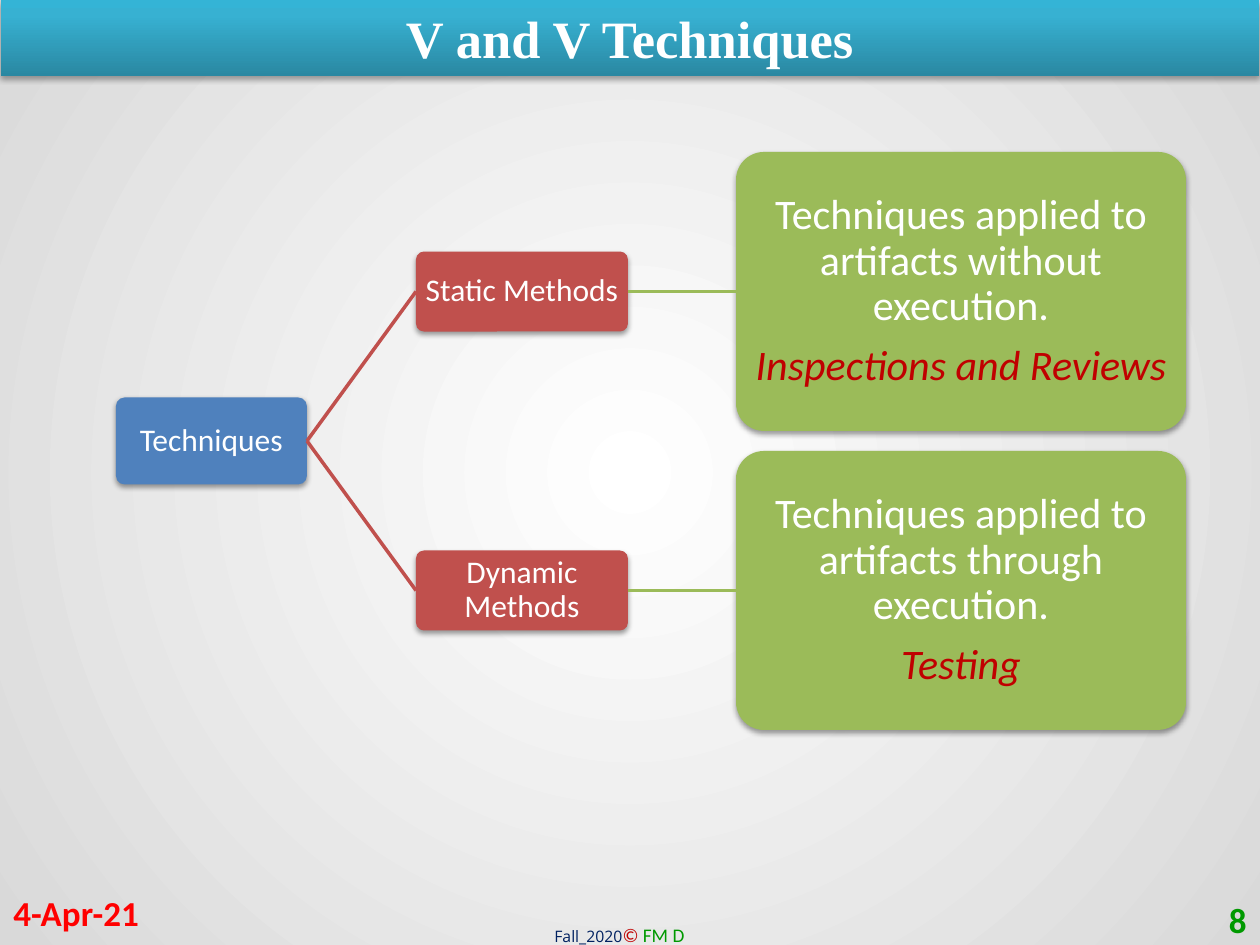
from lxml import etree
from pptx import Presentation
from pptx import util as u
from pptx.dml.color import RGBColor
from pptx.enum import shapes, text
from pptx.oxml import parse_xml
from pptx.oxml.ns import nsdecls, qn

PX = 914400 / 126
WHITE = RGBColor(0xFF, 0xFF, 0xFF)
BLUE = RGBColor(0x4F, 0x81, 0xBD)
RED = RGBColor(0xC0, 0x50, 0x4D)
GREEN = RGBColor(0x9B, 0xBB, 0x59)
DARK_RED = RGBColor(0xC0, 0x00, 0x00)
BRIGHT_RED = RGBColor(0xFF, 0x00, 0x00)
NAVY = RGBColor(0x00, 0x20, 0x60)
FOOTER_GREEN = RGBColor(0x00, 0x99, 0x00)
GREY = RGBColor(0xD9, 0xD9, 0xD9)
TITLE_STOPS = [(0, RGBColor(0x2A, 0x88, 0xA2)), (80, RGBColor(0x37, 0xB1, 0xD2)),
               (100, RGBColor(0x34, 0xB4, 0xD6))]

# Content: each branch is a method, its description and its examples
TITLE = "V and V Techniques"
ROOT = "Techniques"
BRANCHES = [
    ("Static Methods", "Techniques applied to artifacts without execution.",
     "Inspections and Reviews"),
    ("Dynamic Methods", "Techniques applied to artifacts through execution.",
     "Testing"),
]
DATE, NUMBER = "4-Apr-21", "8"
FOOTER = [("Fall_2020", 9, "Open Sans", NAVY, False),
          ("© ", 11, "Calibri", DARK_RED, True),
          ("FM D", 11, "Calibri", FOOTER_GREEN, False)]

# Layout in px: left, width and height of each tree level
ROOT_SIZE = (116, 191, 87)
METHOD_SIZE = (416, 212, 80)
DETAIL_SIZE = (736, 450, 279)
TREE_MIDDLE, BRANCH_PITCH = 441, 299


def px(value):
    return u.Emu(round(value * PX))


def gradient(stops, direction):
    marks = "".join(f'<a:gs pos="{pos * 1000}"><a:srgbClr val="{color}"/></a:gs>'
                    for pos, color in stops)
    return parse_xml(f'<a:gradFill {nsdecls("a")} rotWithShape="1">'
                     f'<a:gsLst>{marks}</a:gsLst>{direction}</a:gradFill>')


def add_shadow(shape, opacity):
    shape.shadow.inherit = False
    effects = shape._element.spPr.find(qn("a:effectLst"))
    effects.append(parse_xml(
        f'<a:outerShdw {nsdecls("a")} blurRad="{u.Pt(3.1)}" dist="{u.Pt(1.7)}" '
        f'dir="5400000" rotWithShape="0"><a:srgbClr val="000000">'
        f'<a:alpha val="{opacity * 1000}"/></a:srgbClr></a:outerShdw>'))


def style(font, size, color, name="Calibri", bold=False, italic=False):
    font.size, font.name, font.color.rgb = u.Pt(size), name, color
    font.bold, font.italic = bold, italic


def add_node(page, size, middle, color, lines, points, inset):
    left, width, height = size
    box = page.shapes.add_shape(shapes.MSO_SHAPE.ROUNDED_RECTANGLE, px(left),
                                px(middle - height / 2), px(width), px(height))
    box.adjustments[0] = 0.1
    box.fill.solid()
    box.fill.fore_color.rgb = color
    box.line.fill.background()
    add_shadow(box, 38)
    frame = box.text_frame
    frame.word_wrap = True
    frame.vertical_anchor = text.MSO_ANCHOR.MIDDLE
    frame.margin_left = frame.margin_right = px(inset)
    frame.margin_top = frame.margin_bottom = px(inset)
    frame.text = "\n".join(lines)
    for index, para in enumerate(frame.paragraphs):
        para.alignment = text.PP_ALIGN.CENTER
        para.line_spacing = 0.9
        if index:
            para.space_before = u.Pt(8.4)
        style(para.runs[0].font, points, DARK_RED if index else WHITE,
              italic=bool(index))
    return box


def join(page, start, end, color):
    line = page.shapes.add_connector(shapes.MSO_CONNECTOR.STRAIGHT, 0, 0, 0, 0)
    line.begin_connect(start, 3)
    line.end_connect(end, 1)
    line.line.color.rgb = color
    line.line.width = u.Pt(2)
    etree.SubElement(line._element.spPr, qn("a:effectLst"))


def add_label(page, left, top, width, height, align, wrap=True):
    frame = page.shapes.add_textbox(px(left), px(top), px(width), px(height)).text_frame
    frame.word_wrap = wrap
    frame.paragraphs[0].alignment = align
    return frame


def main():
    deck = Presentation()
    deck.slide_width, deck.slide_height = px(1260), px(945)
    page = deck.slides.add_slide(deck.slide_layouts[6])

    # Background: radial from white to grey
    page.background.fill.solid()
    backdrop = page._element.cSld.find(qn("p:bg")).find(qn("p:bgPr"))
    backdrop.replace(backdrop[0], gradient(
        [(0, WHITE), (100, GREY)],
        '<a:path path="circle"><a:fillToRect l="50000" t="50000" r="50000" b="50000"/></a:path>'))

    # Tree of techniques
    root = add_node(page, ROOT_SIZE, TREE_MIDDLE, BLUE, [ROOT], 18, 4)
    for index, (method, description, example) in enumerate(BRANCHES):
        middle = TREE_MIDDLE + (index - (len(BRANCHES) - 1) / 2) * BRANCH_PITCH
        branch = add_node(page, METHOD_SIZE, middle, RED, [method], 18, 4)
        detail = add_node(page, DETAIL_SIZE, middle, GREEN, [description, example], 24, 11)
        join(page, root, branch, RED)
        join(page, branch, detail, GREEN)

    # Title bar
    bar = page.shapes.add_shape(shapes.MSO_SHAPE.RECTANGLE, px(1), 0, px(1258), px(76))
    bar.fill.solid()
    properties = bar._element.spPr
    properties.replace(properties.find(qn("a:solidFill")),
                       gradient(TITLE_STOPS, '<a:lin ang="16200000" scaled="0"/>'))
    bar.line.fill.background()
    add_shadow(bar, 35)
    bar.text_frame.text = TITLE
    heading = bar.text_frame.paragraphs[0]
    heading.alignment = text.PP_ALIGN.CENTER
    style(heading.runs[0].font, 30, WHITE, "Times New Roman", bold=True)

    # Date, slide number and footer
    for words, left, top, align, color in [
            (DATE, 1, 888, text.PP_ALIGN.LEFT, BRIGHT_RED),
            (NUMBER, 965, 895, text.PP_ALIGN.RIGHT, FOOTER_GREEN)]:
        frame = add_label(page, left, top, 294, 50, align)
        frame.vertical_anchor = text.MSO_ANCHOR.MIDDLE
        frame.text = words
        frame.paragraphs[0].alignment = align
        style(frame.paragraphs[0].runs[0].font, 20, color, bold=True)
    credit = add_label(page, 542, 917, 157, 37, text.PP_ALIGN.LEFT, wrap=False)
    for words, points, name, color, italic in FOOTER:
        span = credit.paragraphs[0].add_run()
        span.text = words
        style(span.font, points, color, name, italic=italic)

    deck.save("out.pptx")


if __name__ == "__main__":
    main()
